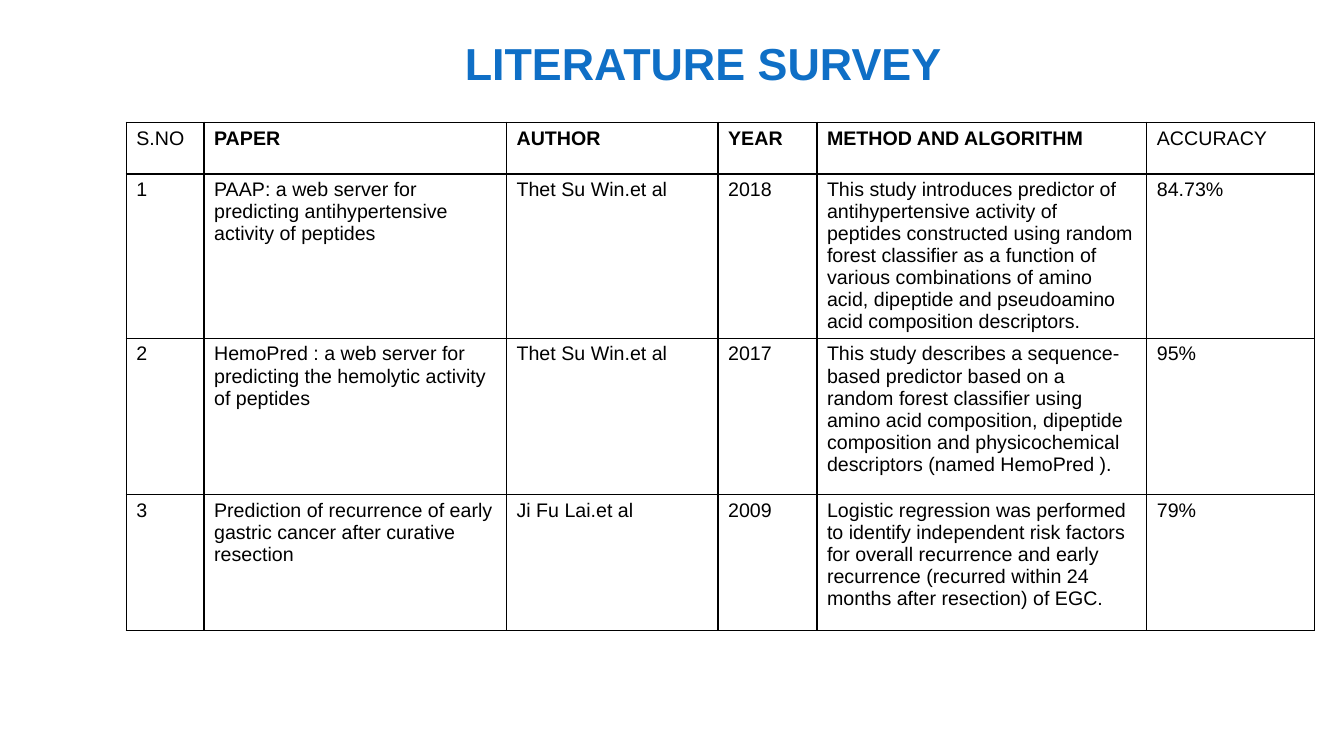
from lxml import etree
from pptx import Presentation, util as u
from pptx.dml.color import RGBColor
from pptx.enum import text
from pptx.oxml.ns import qn

HUES = {"title": "0F6FC6", "ink": "000000", "paper": "FFFFFF"}
COLS = [1.96, 7.62, 5.33, 2.49, 8.31, 4.22]
ROWS = [1.3, 4.1, 3.94, 3.43]
BOLD = {"PAPER", "AUTHOR", "YEAR", "METHOD AND ALGORITHM"}
SURVEY = [
    ["S.NO", "PAPER", "AUTHOR", "YEAR", "METHOD AND ALGORITHM", "ACCURACY"],
    ["1", "PAAP: a web server for predicting antihypertensive activity of peptides",
     "Thet Su Win.et al", "2018",
     "This study introduces predictor of antihypertensive activity of peptides "
     "constructed using random forest classifier as a function of various combinations "
     "of amino acid, dipeptide and pseudoamino acid composition descriptors.", "84.73%"],
    ["2", "HemoPred : a web server for predicting the hemolytic activity of peptides",
     "Thet Su Win.et al", "2017",
     "This study describes a sequence-based predictor based on a random forest "
     "classifier using amino acid composition, dipeptide composition and "
     "physicochemical descriptors (named HemoPred ).", "95%"],
    ["3", "Prediction of recurrence of early gastric cancer after curative resection",
     "Ji Fu Lai.et al", "2009",
     "Logistic regression was performed to identify independent risk factors for "
     "overall recurrence and early recurrence (recurred within 24 months after "
     "resection) of EGC.", "79%"],
]


class Deck:
    face = "Arial"

    def __init__(self):
        self.show = Presentation()
        self.show.slide_width = u.Inches(13.33)
        self.show.slide_height = u.Inches(7.5)
        self.slide = self.show.slides.add_slide(self.show.slide_layouts[5])

    def style(self, para, size, hue, bold):
        font = para.font
        font.name, font.size, font.bold = self.face, u.Pt(size), bold
        font.color.rgb = RGBColor.from_string(HUES[hue])
        para.alignment = text.PP_ALIGN.LEFT

    def title(self, words, *box):
        head = self.slide.shapes.title
        head.left, head.top, head.width, head.height = map(u.Cm, box)
        frame = head.text_frame
        frame.text = words
        frame.auto_size = text.MSO_AUTO_SIZE.NONE
        frame.vertical_anchor = text.MSO_ANCHOR.BOTTOM
        frame.margin_left = frame.margin_right = frame.margin_bottom = 0
        frame.margin_top = u.Cm(0.13)
        self.style(frame.paragraphs[0], 32, "title", True)

    def border(self, cell, widths):
        props = cell._tc.get_or_add_tcPr()
        for spot, (side, width) in enumerate(widths.items()):
            line = etree.Element(qn("a:ln" + side), w=str(u.Pt(width)))
            fill = etree.SubElement(line, qn("a:solidFill"))
            etree.SubElement(fill, qn("a:srgbClr"), val=HUES["ink"])
            props.insert(spot, line)

    def table(self, data, left, top, cols, rows):
        grid = self.slide.shapes.add_table(
            len(rows), len(cols), u.Cm(left), u.Cm(top),
            u.Cm(sum(cols)), u.Cm(sum(rows))).table
        for col, width in zip(grid.columns, cols):
            col.width = u.Cm(width)
        for row, height in zip(grid.rows, rows):
            row.height = u.Cm(height)
        for r, line in enumerate(data):
            for c, words in enumerate(line):
                cell = grid.cell(r, c)
                cell.text = words
                cell.fill.solid()
                cell.fill.fore_color.rgb = RGBColor.from_string(HUES["paper"])
                self.style(cell.text_frame.paragraphs[0], 14, "ink", words in BOLD)
                self.border(cell, {"L": 1, "R": 1, "T": 2 if r == 1 else 1,
                                   "B": 2 if r == 0 else 1})


def main():
    deck = Deck()
    deck.title("LITERATURE SURVEY", 11.71, 0.43, 12.88, 1.83)
    deck.table(SURVEY, 3.18, 3.08, COLS, ROWS)
    deck.show.save("out.pptx")


if __name__ == "__main__":
    main()
